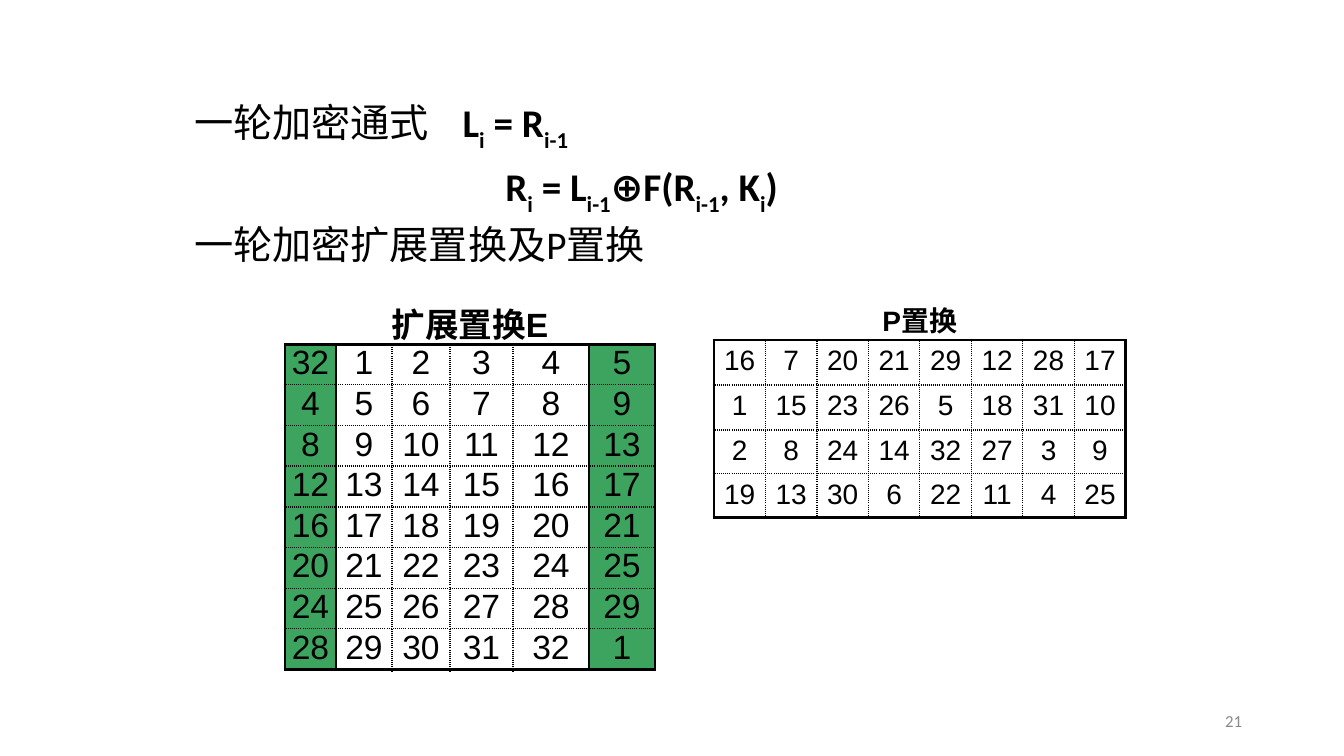
import pptx
import pptx.util
import pptx.dml.color
import pptx.enum.text
import pptx.oxml
import pptx.oxml.ns

ALIGN = pptx.enum.text.PP_ALIGN
ANCHOR = pptx.enum.text.MSO_ANCHOR
NO_STYLE = "{2D5ABB26-0587-4C30-8999-92F81FD0307C}"
BLACK, GREEN, GREY = "000000", "3CA45F", "898989"

# Content: parts between underscores are subscripts
SLIDE = (1344, 756)
FORMULA_BOX = (184, 93, 924, 210)
FORMULAS = [
    ("一轮加密通式\tL_i_ = R_i-1_", ALIGN.LEFT),
    ("R_i_ = L_i-1_⊕F(R_i-1_, K_i_) ", ALIGN.CENTER),
    ("一轮加密扩展置换及P置换", ALIGN.LEFT),
]
HANGING, FORMULA_TAB = 67, 359
PAGE_BOX, PAGE = (950, 701, 302, 40), "21"

TABLES = [
    {
        "title": "扩展置换E", "at": (285, 294), "size": 24,
        "cols": [51, 56, 58, 63, 76, 66], "rows": [50] + [40, 41] * 4,
        "values": [[(4 * r + c - 1) % 32 + 1 for c in range(6)] for r in range(8)],
        "green": (0, 5), "solid": (0, 1, 5, 6), "insets": (0, 0),
    },
    {
        "title": "P置换", "at": (714, 294), "size": 20,
        "cols": [412 / 8] * 8, "rows": [46, 45, 45, 44, 44],
        "values": [
            [16, 7, 20, 21, 29, 12, 28, 17],
            [1, 15, 23, 26, 5, 18, 31, 10],
            [2, 8, 24, 14, 32, 27, 3, 9],
            [19, 13, 30, 6, 22, 11, 4, 25],
        ],
        "green": (), "solid": (0, 8), "insets": (10, 5),
    },
]


def px(n):
    return pptx.util.Emu(round(n * 914400 / 100.8))


def rgb(color):
    return pptx.dml.color.RGBColor.from_string(color)


def xml(parent, tag, inner="", **attrs):
    """Append one DrawingML element to parent."""
    text = "".join(f' {k}="{v}"' for k, v in attrs.items())
    ns = pptx.oxml.ns.nsdecls("a")
    parent.append(pptx.oxml.parse_xml(f"<a:{tag} {ns}{text}>{inner}</a:{tag}>"))


def add_run(p, text, color=BLACK, **font):
    r = p.add_run()
    r.text = text
    r.font.color.rgb = rgb(color)
    for name, value in font.items():
        setattr(r.font, name, value)
    return r


def set_border(cell, side, kind):
    tc_pr = cell._tc.get_or_add_tcPr()
    if kind == "none":
        xml(tc_pr, "ln" + side, "<a:noFill/>", w=0)
        return
    width, dash = (2.25, "solid") if kind == "solid" else (1, "sysDot")
    paint = f'<a:solidFill><a:srgbClr val="{BLACK}"/></a:solidFill><a:prstDash val="{dash}"/>'
    xml(tc_pr, "ln" + side, paint, w=pptx.util.Pt(width))


def add_formulas(sp):
    sp.left, sp.top, sp.width, sp.height = map(px, FORMULA_BOX)
    tf = sp.text_frame
    tf.auto_size = pptx.enum.text.MSO_AUTO_SIZE.NONE
    tf.vertical_anchor = ANCHOR.TOP
    for i, (line, align) in enumerate(FORMULAS):
        p = tf.paragraphs[0] if i == 0 else tf.add_paragraph()
        p.alignment, p.line_spacing, p.space_before = align, 0.9, pptx.util.Pt(10)
        p_pr = p._p.get_or_add_pPr()
        p_pr.set("marL", str(px(HANGING)))
        p_pr.set("indent", str(-px(HANGING)))
        xml(p_pr, "buNone")
        label, tab, formula = line.rpartition("\t")
        if tab:
            xml(p_pr, "tabLst", f'<a:tab pos="{px(FORMULA_TAB)}" algn="l"/>')
            add_run(p, label + tab, size=pptx.util.Pt(28), name="Calibri", bold=False)
        for k, part in enumerate(formula.split("_")):
            if part:
                r = add_run(p, part, size=pptx.util.Pt(28), name="Calibri", bold="_" in line)
                if k % 2:
                    r._r.get_or_add_rPr().set("baseline", "-30000")


def add_table(slide, t):
    rows, cols = t["rows"], t["cols"]
    box = map(px, (*t["at"], sum(cols), sum(rows)))
    tbl = slide.shapes.add_table(len(rows), len(cols), *box).table
    tbl.first_row = tbl.horz_banding = False
    tbl._tbl.tblPr.find(pptx.oxml.ns.qn("a:tableStyleId")).text = NO_STYLE
    for c, width in enumerate(cols):
        tbl.columns[c].width = px(width)
    for r, height in enumerate(rows):
        tbl.rows[r].height = px(height)
    tbl.cell(0, 0).merge(tbl.cell(0, len(cols) - 1))

    def kind(solid):
        return "solid" if solid else "dotted"

    for r in range(len(rows)):
        for c in range(len(cols)):
            cell, head = tbl.cell(r, c), r == 0
            # Borders, in schema order
            set_border(cell, "L", "none" if head else kind(c in t["solid"]))
            set_border(cell, "R", "none" if head else kind(c + 1 in t["solid"]))
            set_border(cell, "T", "none" if head else kind(r == 1))
            set_border(cell, "B", kind(r in (0, len(rows) - 1)))
            # Fill
            if not head and c in t["green"]:
                cell.fill.solid()
                cell.fill.fore_color.rgb = rgb(GREEN)
            else:
                cell.fill.background()
            # Text
            dx, dy = (10, 5) if head else t["insets"]
            cell.margin_left = cell.margin_right = px(dx)
            cell.margin_top = cell.margin_bottom = px(dy)
            if not head or c == 0:
                p = cell.text_frame.paragraphs[0]
                p.alignment = ALIGN.CENTER
                text = t["title"] if head else str(t["values"][r - 1][c])
                add_run(p, text, size=pptx.util.Pt(t["size"]), name="Arial", bold=head)


def main():
    prs = pptx.Presentation()
    prs.slide_width, prs.slide_height = map(px, SLIDE)
    slide = prs.slides.add_slide(prs.slide_layouts[1])
    title = slide.shapes.title
    title._element.getparent().remove(title._element)

    # Round formulas
    add_formulas(slide.placeholders[1])

    # Page number
    tf = slide.shapes.add_textbox(*map(px, PAGE_BOX)).text_frame
    tf.word_wrap, tf.vertical_anchor = True, ANCHOR.MIDDLE
    tf.paragraphs[0].alignment = ALIGN.RIGHT
    add_run(tf.paragraphs[0], PAGE, GREY, size=pptx.util.Pt(12), name="Calibri")

    # Permutation tables
    for t in TABLES:
        add_table(slide, t)
    prs.save("out.pptx")


if __name__ == "__main__":
    main()
